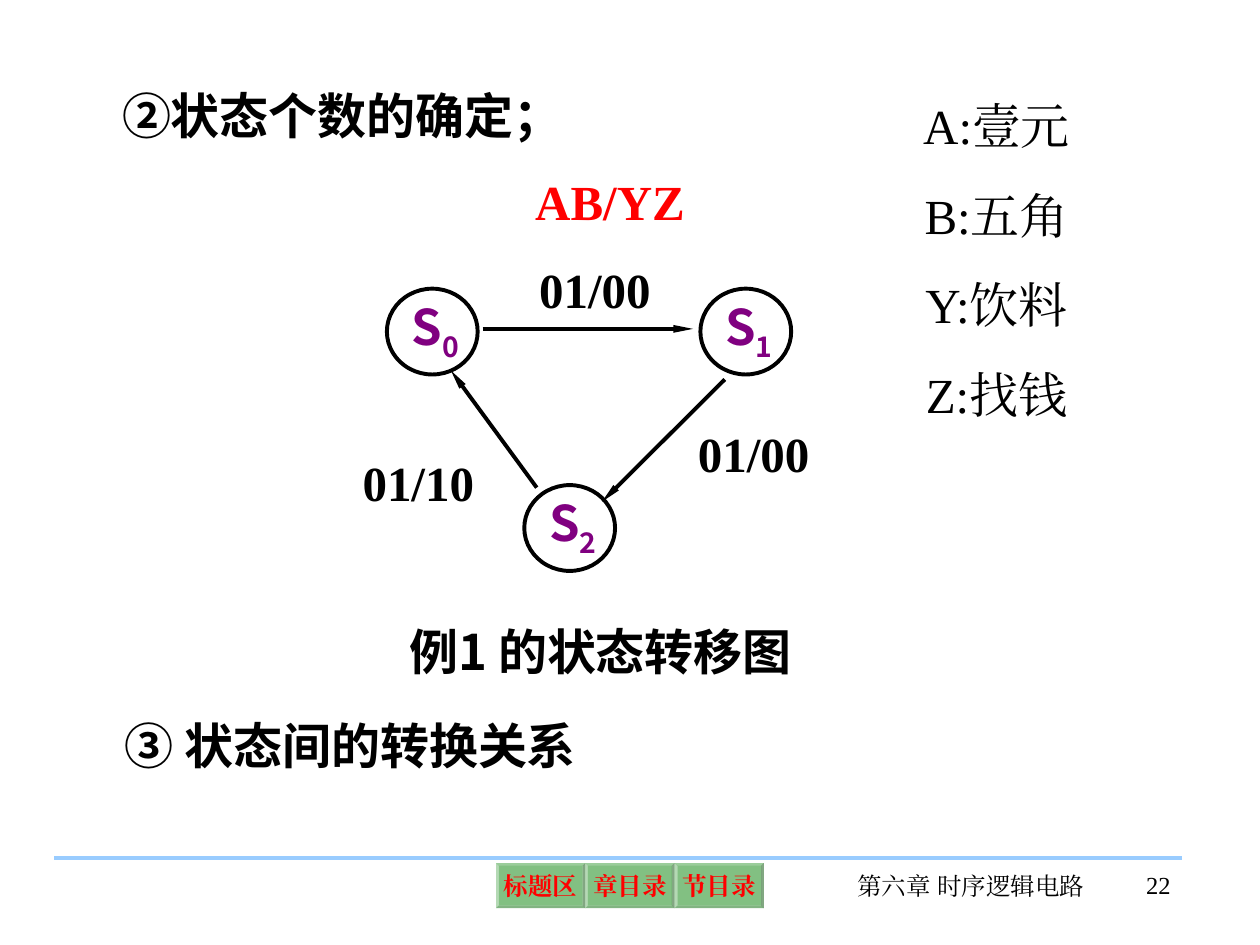
from pptx import Presentation
from pptx.dml.color import RGBColor
from pptx.enum.shapes import MSO_CONNECTOR, MSO_SHAPE
from pptx.enum.text import MSO_ANCHOR, MSO_AUTO_SIZE, PP_ALIGN
from pptx.oxml.ns import qn
from pptx.util import Cm, Pt
from lxml.etree import SubElement

SANS = "Noto Sans CJK SC"
SERIF = "Times New Roman"
BLACK, RED, PURPLE = "000000", "FF0000", "800080"


def color(hex_value):
    return RGBColor.from_string(hex_value)


def place(shape, left, top, width, height):
    shape.left, shape.top = Cm(left), Cm(top)
    shape.width, shape.height = Cm(width), Cm(height)


def write(shape, text, font=SERIF, size=28, ink=BLACK, bold=False, align=PP_ALIGN.LEFT,
          anchor=MSO_ANCHOR.TOP, inset=(0.25, 0.13), gap=0, wrap=True, subscript=""):
    frame = shape.text_frame
    frame.word_wrap = wrap
    frame.auto_size = MSO_AUTO_SIZE.NONE
    frame.vertical_anchor = anchor
    frame.margin_left = frame.margin_right = Cm(inset[0])
    frame.margin_top = frame.margin_bottom = Cm(inset[1])
    for index, line in enumerate(text.split("\n")):
        paragraph = frame.add_paragraph() if index else frame.paragraphs[0]
        properties = paragraph._p.get_or_add_pPr()
        properties.set("marL", "0")
        properties.set("indent", "0")
        SubElement(properties, qn("a:buNone"))
        paragraph.alignment = align
        paragraph.space_before = Pt(gap if index else 0)
        for part in filter(None, (line, subscript)):
            run = paragraph.add_run()
            run.text = part
            run.font.size, run.font.bold = Pt(size), bold
            run.font.name = font
            run.font.color.rgb = color(ink)
            SubElement(run._r.rPr, qn("a:ea")).set("typeface", font)
            if part == subscript:
                run.font._element.set("baseline", "-25000")


def add_text(shapes, text, left, top, width, height, **style):
    box = shapes.add_textbox(Cm(left), Cm(top), Cm(width), Cm(height))
    write(box, text, **style)


def add_state(slide, number, left, top):
    state = slide.shapes.add_group_shape()
    circle = state.shapes.add_shape(MSO_SHAPE.OVAL, Cm(left), Cm(top), Cm(1.83), Cm(1.73))
    circle.shadow.inherit = False
    circle.fill.background()
    circle.line.color.rgb = color(BLACK)
    circle.line.width = Pt(2.25)
    add_text(state.shapes, "S", left + 0.5, top + 0.15, 1.02, 1.35, font=SANS,
             ink=PURPLE, bold=True, inset=(0, 0), subscript=number)


def add_line(slide, x1, y1, x2, y2, ink=BLACK, arrow=False):
    line = slide.shapes.add_connector(MSO_CONNECTOR.STRAIGHT, Cm(x1), Cm(y1), Cm(x2), Cm(y2))
    line.line.color.rgb = color(ink)
    line.line.width = Pt(2.25)
    if arrow:
        head = SubElement(line.line._get_or_add_ln(), qn("a:tailEnd"))
        for key, value in (("type", "triangle"), ("w", "sm"), ("len", "lg")):
            head.set(key, value)
    SubElement(line._element.spPr, qn("a:effectLst"))


def add_button(slide, label, left):
    button = slide.shapes.add_shape(MSO_SHAPE.BEVEL, Cm(left), Cm(17.4), Cm(1.8), Cm(0.91))
    button.adjustments[0] = 0.06
    button.shadow.inherit = False
    button.fill.solid()
    button.fill.fore_color.rgb = color("008000")
    tint = button._element.spPr.find(qn("a:solidFill")).find(qn("a:srgbClr"))
    SubElement(tint, qn("a:alpha")).set("val", "49000")
    button.line.fill.background()
    write(button, label, size=14, ink=RED, bold=True, align=PP_ALIGN.CENTER,
          anchor=MSO_ANCHOR.MIDDLE, inset=(0.1, 0.1), wrap=False)


def main():
    deck = Presentation()
    deck.slide_width, deck.slide_height = Cm(25.4), Cm(19.05)
    slide = deck.slides.add_slide(deck.slide_layouts[1])

    title, legend = slide.placeholders
    place(title, 2.21, 1.6, 20.88, 1.45)
    write(title, "②状态个数的确定；", font=SANS, bold=True)
    place(legend, 17.65, 1.8, 4.88, 6.86)
    write(legend, "A:壹元\nB:五角\nY:饮料\nZ:找钱", align=PP_ALIGN.CENTER, gap=17.5)

    add_text(slide.shapes, "例1 的状态转移图", 8, 12.4, 12.09, 1.45, font=SANS, bold=True)
    add_text(slide.shapes, "③ 状态间的转换关系", 2.26, 14.3, 11.35, 1.45, font=SANS, bold=True)

    for number, left, top in (("0", 7.8, 5.82), ("1", 14.12, 5.82), ("2", 10.57, 9.78)):
        add_state(slide, number, left, top)
    for transition in ((9.73, 6.63, 13.97, 6.63), (14.61, 7.65, 12.14, 10.11),
                       (10.82, 9.83, 9.09, 7.47)):
        add_line(slide, *transition, arrow=True)

    add_text(slide.shapes, "AB/YZ", 10.54, 3.33, 4.24, 1.45, ink=RED, bold=True)
    for signals, left, top in (("01/00", 10.62, 5.11), ("01/00", 13.82, 8.41),
                               ("01/10", 7.06, 8.99)):
        add_text(slide.shapes, signals, left, top, 3, 1.45, bold=True)

    add_line(slide, 1.09, 17.3, 23.83, 17.3, ink="99CCFF")
    for index, label in enumerate(("标题区", "章目录", "节目录")):
        add_button(slide, label, 10 + 1.8 * index)
    add_text(slide.shapes, "第六章 时序逻辑电路", 16.92, 17.42, 5.31, 1.27,
             size=14, align=PP_ALIGN.CENTER)
    add_text(slide.shapes, "22", 21.67, 17.4, 2.18, 1.27, size=14, align=PP_ALIGN.RIGHT)

    deck.save("out.pptx")


if __name__ == "__main__":
    main()
